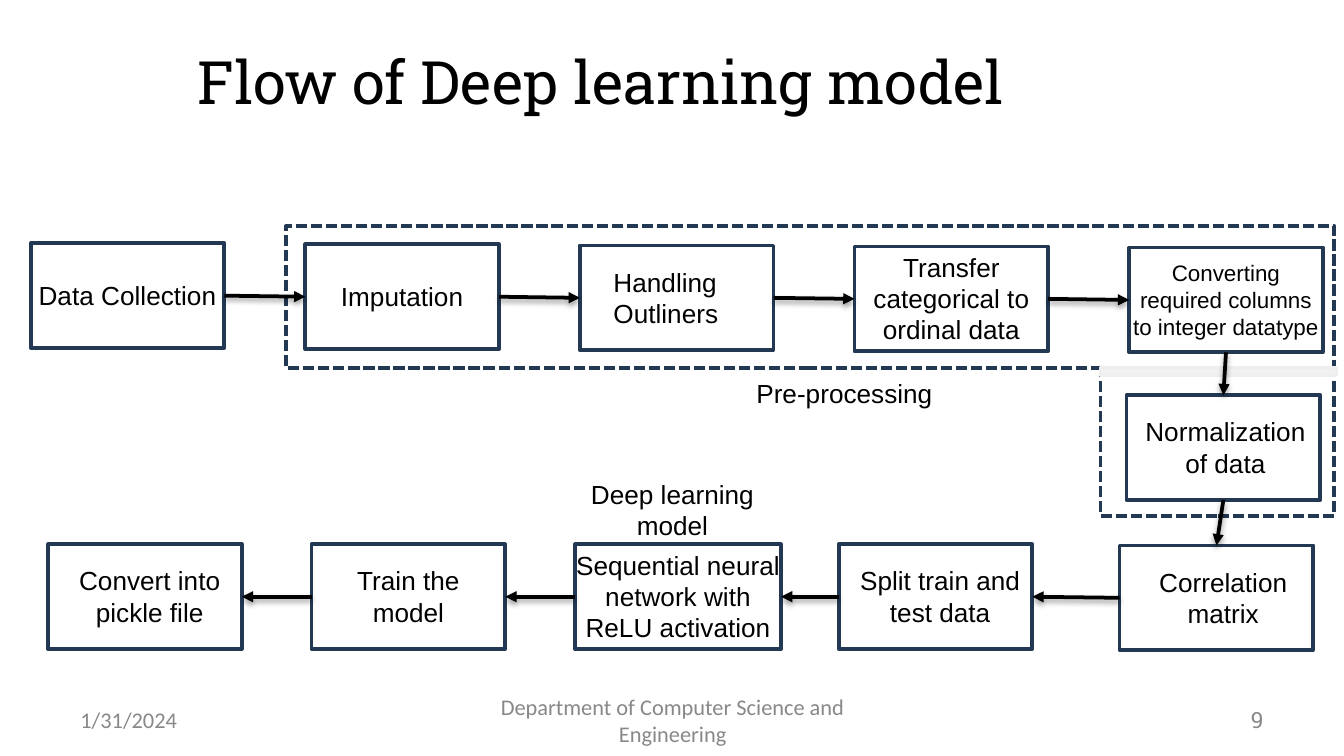
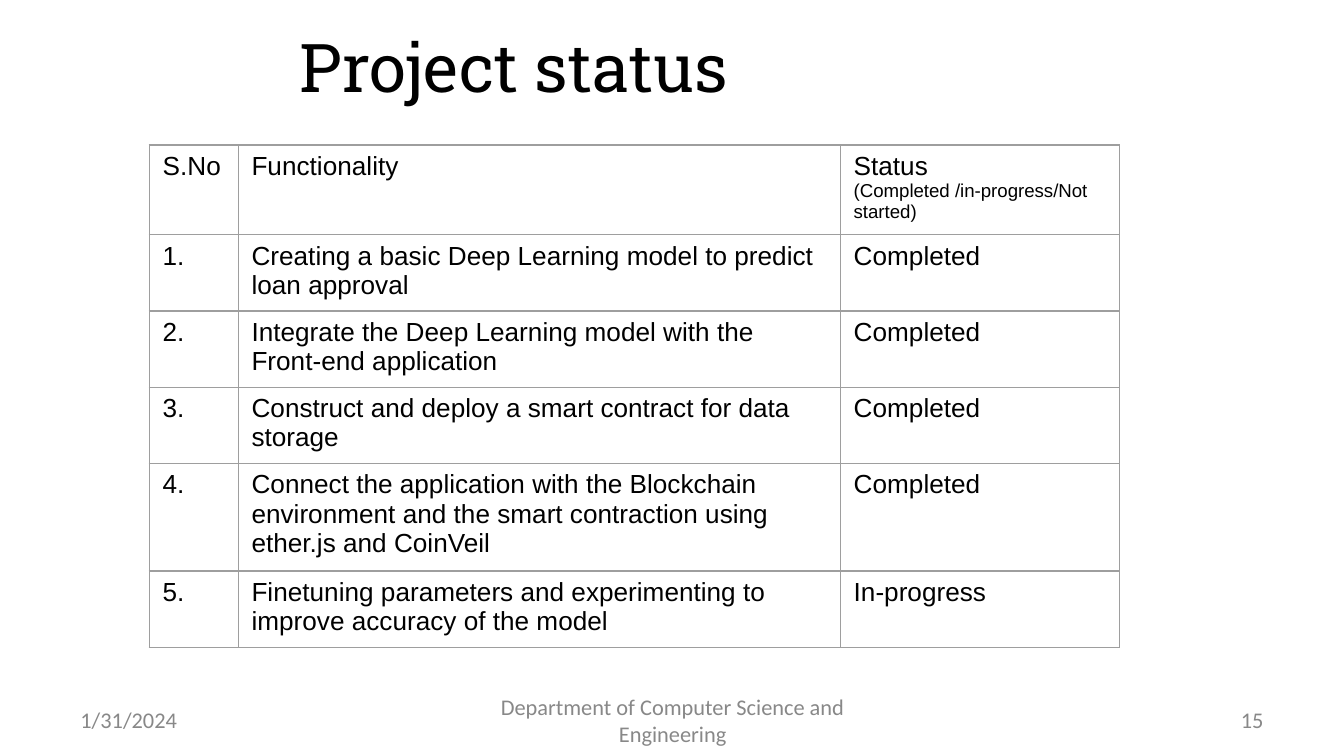
from dataclasses import dataclass

from lxml.etree import SubElement
from pptx import Presentation
from pptx.dml.color import RGBColor
from pptx.enum.dml import MSO_LINE
from pptx.enum.shapes import MSO_CONNECTOR, MSO_SHAPE
from pptx.enum.text import MSO_ANCHOR, MSO_AUTO_SIZE, PP_ALIGN
from pptx.oxml.ns import qn
from pptx.shapes.autoshape import Shape
from pptx.slide import Slide
from pptx.text.text import TextFrame
from pptx.util import Cm, Pt

COLORS = {
    "text": "000000",
    "footer": "888888",
    "box": "233953",
    "strip": "F2F2F2",
    "strip_line": "EFEFEF",
    "grid": "9E9E9E",
}
BODY_FONT, TITLE_FONT, FOOTER_FONT = "Arial", "Roboto Slab", "Calibri"
LEFT, CENTER, RIGHT = PP_ALIGN.LEFT, PP_ALIGN.CENTER, PP_ALIGN.RIGHT
TOP_SIDE, LEFT_SIDE, BOTTOM_SIDE, RIGHT_SIDE = range(4)

BOX_W, BOX_H = 3.66, 1.98
TOP_X, TOP_Y, TOP_STEP, TOP_DROP = 0.58, 4.6, 5.19, 0.02
LOW_X, LOW_Y, LOW_STEP = 0.91, 10.29, 4.98


@dataclass
class Area:
    """A rectangle in centimetres."""
    x: float
    y: float
    w: float
    h: float


@dataclass
class Step:
    """A box of the flow; nudge shifts its label sideways from the centre."""
    text: str
    x: float
    y: float
    label_w: float
    lines: int
    w: float = BOX_W
    nudge: float = 0
    size: int = 14
    align: PP_ALIGN = CENTER
    exit_side: int = RIGHT_SIDE
    entry_side: int = LEFT_SIDE


@dataclass
class FooterPart:
    text: str
    area: Area
    align: PP_ALIGN
    font: str = FOOTER_FONT


def top_spot(i: int) -> tuple[float, float]:
    return TOP_X + i * TOP_STEP, TOP_Y + i * TOP_DROP


def low_spot(i: int) -> tuple[float, float]:
    return LOW_X + i * LOW_STEP, LOW_Y


LEFTWARD = {"exit_side": LEFT_SIDE, "entry_side": RIGHT_SIDE}

FLOW = [
    Step("Data Collection", *top_spot(0), 4.06, 1),
    Step("Imputation", *top_spot(1), 2.87, 1),
    Step("Handling Outliners", *top_spot(2), 3.61, 2, nudge=0.36, align=LEFT),
    Step("Transfer categorical to ordinal data", *top_spot(3), 4.45, 3),
    Step("Converting required columns to integer datatype", *top_spot(4), 4.06, 3,
         size=12, exit_side=BOTTOM_SIDE),
    Step("Normalization of data", 21.29, 7.47, 3.89, 2, nudge=0.04,
         exit_side=BOTTOM_SIDE, entry_side=TOP_SIDE),
    Step("Correlation matrix", 21.16, 10.31, 3.81, 2, nudge=0.13,
         exit_side=LEFT_SIDE, entry_side=TOP_SIDE),
    Step("Split train and test data", *low_spot(3), 3.89, 2, nudge=0.09, **LEFTWARD),
    Step("Sequential neural network with ReLU activation", *low_spot(2), 4.65, 3,
         w=3.89, **LEFTWARD),
    Step("Train the model", *low_spot(1), 3.89, 2, **LEFTWARD),
    Step("Convert into pickle file", *low_spot(0), 3.89, 2, nudge=0.09, **LEFTWARD),
]

PREPROCESSING_FRAMES = [Area(5.41, 4.27, 19.81, 2.69), Area(20.8, 6.96, 4.42, 2.79)]
FRAME_JOIN = Area(20.8, 6.96, 4.45, 0.13)

STATUS_COLUMNS = [1.68, 11.38, 5.28]
STATUS_ROWS = [
    ("S.No", "Functionality", "Status\n(Completed /in-progress/Not started)"),
    ("1.", "Creating a basic Deep Learning model to predict loan approval", "Completed"),
    ("2.", "Integrate the Deep Learning model with the Front-end application", "Completed"),
    ("3.", "Construct and deploy a smart contract for data storage", "Completed"),
    ("4.", "Connect the application with the Blockchain environment and the smart "
           "contraction using ether.js and CoinVeil", "Completed"),
    ("5.", "Finetuning parameters and experimenting to improve accuracy of the model",
     "In-progress"),
]


def rgb(name: str) -> RGBColor:
    return RGBColor.from_string(COLORS[name])


def cm(area: Area) -> tuple[Cm, Cm, Cm, Cm]:
    return Cm(area.x), Cm(area.y), Cm(area.w), Cm(area.h)


def format_text(tf: TextFrame, font: str, size: float, color: str = "text",
                align: PP_ALIGN = LEFT) -> None:
    for p in tf.paragraphs:
        p.alignment = align
        for r in p.runs:
            r.font.name = font
            r.font.size = Pt(size)
            r.font.color.rgb = rgb(color)


def add_text(s: Slide, text: str, area: Area) -> TextFrame:
    tf = s.shapes.add_textbox(*cm(area)).text_frame
    tf.word_wrap = True
    tf.text = text
    return tf


def add_label(s: Slide, text: str, center_x: float, y: float, w: float, lines: int,
              size: int = 14, align: PP_ALIGN = CENTER, middle: bool = False) -> None:
    """Place a label with its top, or its middle, at y."""
    h = 0.25 + lines * size * 0.043
    tf = add_text(s, text, Area(center_x - w / 2, y - h / 2 if middle else y, w, h))
    tf.auto_size = MSO_AUTO_SIZE.SHAPE_TO_FIT_TEXT
    format_text(tf, BODY_FONT, size, align=align)


def add_rect(s: Slide, area: Area, line: str = "box", fill: str | None = None,
             dashed: bool = False) -> Shape:
    sp = s.shapes.add_shape(MSO_SHAPE.RECTANGLE, *cm(area))
    sp.shadow.inherit = False
    if fill:
        sp.fill.solid()
        sp.fill.fore_color.rgb = rgb(fill)
    else:
        sp.fill.background()
    sp.line.color.rgb = rgb(line)
    sp.line.width = Pt(2)
    if dashed:
        sp.line.dash_style = MSO_LINE.SQUARE_DOT
    return sp


def add_color(parent, name: str):
    return SubElement(parent, qn("a:srgbClr"), val=COLORS[name])


def add_arrow(s: Slide, start: Shape, exit_side: int, end: Shape, entry_side: int) -> None:
    cx = s.shapes.add_connector(MSO_CONNECTOR.STRAIGHT, 0, 0, 0, 0)
    cx.begin_connect(start, exit_side)
    cx.end_connect(end, entry_side)
    cx.line.color.rgb = rgb("text")
    cx.line.width = Pt(2)
    sp_pr = cx.line._get_or_add_ln().getparent()
    SubElement(sp_pr.find(qn("a:ln")), qn("a:tailEnd"), type="triangle")
    shadow = SubElement(SubElement(sp_pr, qn("a:effectLst")), qn("a:outerShdw"),
                        blurRad=str(Pt(3.1)), dist=str(Pt(1.6)), dir="5400000",
                        rotWithShape="0")
    SubElement(add_color(shadow, "text"), qn("a:alpha"), val="38000")


def add_step(s: Slide, step: Step) -> Shape:
    sp = add_rect(s, Area(step.x, step.y, step.w, BOX_H))
    add_label(s, step.text, step.x + step.w / 2 + step.nudge, step.y + BOX_H / 2,
              step.label_w, step.lines, step.size, step.align, middle=True)
    return sp


def add_slide(prs: Presentation, title: str, area: Area, size: int,
              number: FooterPart) -> Slide:
    """Add a slide with its title and the shared footer."""
    s = prs.slides.add_slide(prs.slide_layouts[5])
    sp = s.shapes.title
    sp.left, sp.top, sp.width, sp.height = cm(area)
    tf = sp.text_frame
    tf.text = title
    tf.auto_size = MSO_AUTO_SIZE.NONE
    tf.vertical_anchor = MSO_ANCHOR.MIDDLE
    format_text(tf, TITLE_FONT, size, align=CENTER)
    for part in (
        FooterPart("1/31/2024", Area(1.27, 13.23, 5.92, 0.76), LEFT),
        FooterPart("Department of Computer Science and Engineering",
                   Area(8.69, 13.23, 8.05, 0.76), CENTER),
        number,
    ):
        tf = add_text(s, part.text, part.area)
        tf.vertical_anchor = MSO_ANCHOR.MIDDLE
        format_text(tf, part.font, 12, "footer", part.align)
    return s


def page_number(text: str, font: str = FOOTER_FONT) -> FooterPart:
    return FooterPart(text, Area(18.21, 13.23, 5.92, 0.76), RIGHT, font)


def build_flow(prs: Presentation) -> None:
    s = add_slide(prs, "Flow of Deep learning model", Area(1.55, 0.64, 19.63, 1.75), 32,
                  page_number("9", TITLE_FONT))
    for frame in PREPROCESSING_FRAMES:
        add_rect(s, frame, dashed=True)
    add_rect(s, FRAME_JOIN, line="strip_line", fill="strip")
    boxes = [add_step(s, step) for step in FLOW]
    add_label(s, "Pre-processing", 15.96, 7.01, 4.45, 1)
    add_label(s, "Deep learning model", 12.71, 8.92, 4.45, 2)
    for i in range(len(FLOW) - 1):
        add_arrow(s, boxes[i], FLOW[i].exit_side, boxes[i + 1], FLOW[i + 1].entry_side)


def add_borders(cell) -> None:
    tc_pr = cell._tc.get_or_add_tcPr()
    for side in ("lnL", "lnR", "lnT", "lnB"):
        ln = SubElement(tc_pr, qn(f"a:{side}"), w=str(Pt(0.75)))
        add_color(SubElement(ln, qn("a:solidFill")), "grid")


def build_status(prs: Presentation) -> None:
    s = add_slide(prs, "Project status", Area(1.22, 0.36, 16.99, 1.75), 36,
                  page_number("15"))
    row_h = 1.04
    area = Area(2.82, 2.74, sum(STATUS_COLUMNS), row_h * len(STATUS_ROWS))
    table = s.shapes.add_table(len(STATUS_ROWS), len(STATUS_COLUMNS), *cm(area)).table
    table.first_row = table.horz_banding = False
    for column, width in zip(table.columns, STATUS_COLUMNS):
        column.width = Cm(width)
    for row, texts in zip(table.rows, STATUS_ROWS):
        row.height = Cm(row_h)
        for cell, text in zip(row.cells, texts):
            add_borders(cell)
            cell.fill.background()
            cell.text_frame.text = text
            format_text(cell.text_frame, BODY_FONT, 14)
    status_hint = table.cell(0, 2).text_frame.paragraphs[1]
    status_hint.runs[0].font.size = Pt(10)


def main() -> None:
    prs = Presentation()
    prs.slide_width, prs.slide_height = Cm(25.4), Cm(14.29)
    build_flow(prs)
    build_status(prs)
    prs.save("out.pptx")


if __name__ == "__main__":
    main()
